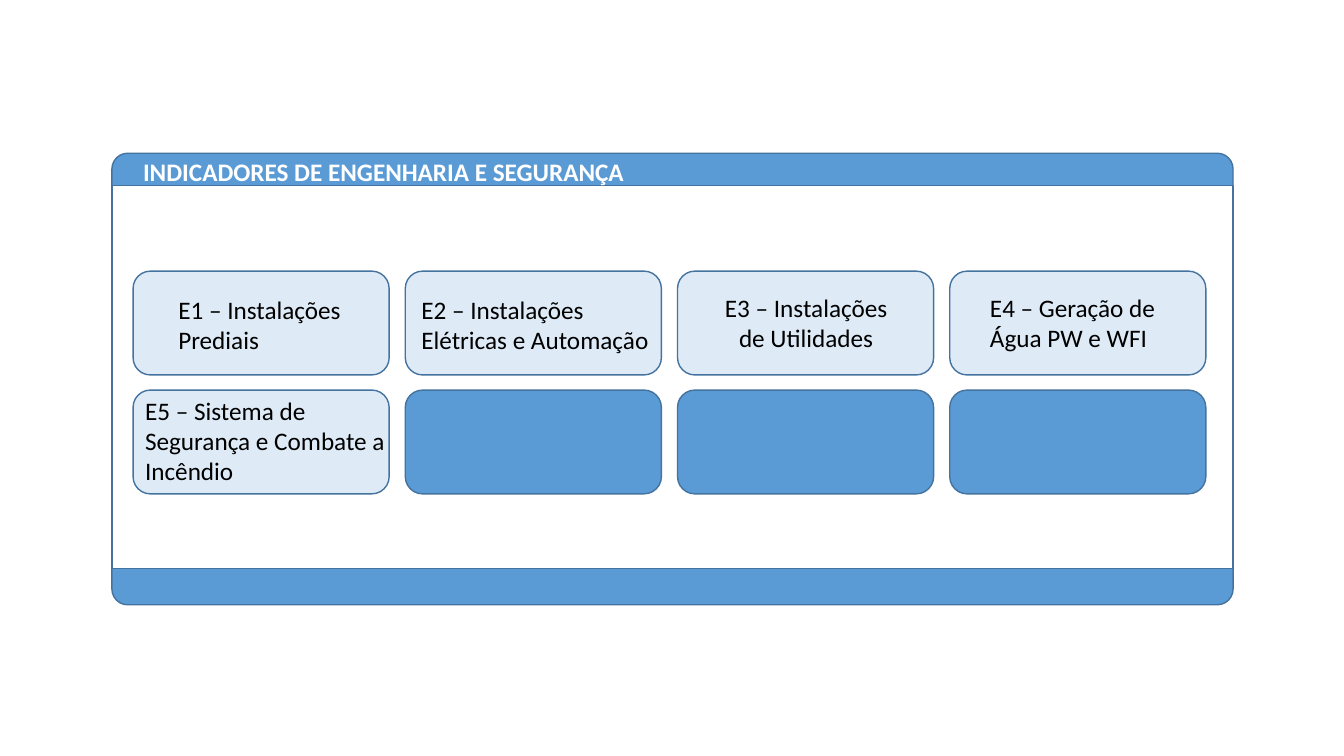
from dataclasses import dataclass

from pptx import Presentation
from pptx.dml.color import RGBColor
from pptx.enum import shapes, text
from pptx import util as u


@dataclass(frozen=True)
class Theme:
    font: str = "Calibri"
    size: int = 18
    blue: str = "5B9BD5"
    pale: str = "DEEBF7"
    outline: str = "43739E"
    white: str = "FFFFFF"
    black: str = "000000"


@dataclass(frozen=True)
class Area:
    left: float
    top: float
    width: float
    height: float

    def lengths(self) -> list[u.Length]:
        return [u.Inches(n) for n in (self.left, self.top, self.width, self.height)]


@dataclass(frozen=True)
class Label:
    words: str
    area: Area
    align: text.PP_ALIGN = text.PP_ALIGN.LEFT


THEME = Theme()
ROUNDED = shapes.MSO_SHAPE.ROUNDED_RECTANGLE

# Card grid
COLUMNS, ROWS = 4, 2
GRID_LEFT, GRID_TOP = 1.32, 2.69
COLUMN_STEP, ROW_STEP = 2.7, 1.18
CARD_WIDTH, CARD_HEIGHT = 2.54, 1.03

# One label for each filled card, in reading order
LABELS = [
    Label("E1 – Instalações Prediais", Area(1.67, 2.87, 1.86, 0.71)),
    Label("E2 – Instalações Elétricas e Automação", Area(4.08, 2.87, 2.52, 0.71)),
    Label("E3 – Instalações de Utilidades", Area(7.02, 2.85, 1.95, 0.71),
          text.PP_ALIGN.CENTER),
    Label("E4 – Geração de Água PW e WFI", Area(9.72, 2.85, 1.95, 0.71)),
    Label("E5 – Sistema de Segurança e Combate a Incêndio",
          Area(1.34, 3.87, 2.65, 1.01)),
]


def add_panel(page, kind: shapes.MSO_SHAPE, area: Area, fill: str,
              corner: float | None = None) -> None:
    panel = page.shapes.add_shape(kind, *area.lengths())
    panel.shadow.inherit = False
    panel.fill.solid()
    panel.fill.fore_color.rgb = RGBColor.from_string(fill)
    panel.line.color.rgb = RGBColor.from_string(THEME.outline)
    panel.line.width = u.Pt(1)
    if corner is not None:
        panel.adjustments[0] = corner


def add_text(page, words: str, area: Area, *, color: str = THEME.black,
             bold: bool = False, align: text.PP_ALIGN = text.PP_ALIGN.LEFT) -> None:
    box = page.shapes.add_textbox(*area.lengths())
    box.text_frame.word_wrap = True
    box.text_frame.auto_size = text.MSO_AUTO_SIZE.SHAPE_TO_FIT_TEXT
    para = box.text_frame.paragraphs[0]
    para.alignment = align
    span = para.add_run()
    span.text = words
    span.font.name = THEME.font
    span.font.size = u.Pt(THEME.size)
    span.font.bold = bold
    span.font.color.rgb = RGBColor.from_string(color)


def main() -> None:
    deck = Presentation()
    deck.slide_width, deck.slide_height = u.Inches(13.33), u.Inches(7.5)
    page = deck.slides.add_slide(deck.slide_layouts[6])

    # Frame with header and footer bands
    add_panel(page, ROUNDED, Area(1.11, 1.52, 11.12, 4.48), THEME.blue, corner=0.035)
    add_panel(page, shapes.MSO_SHAPE.RECTANGLE, Area(1.11, 1.84, 11.12, 3.8),
              THEME.white)

    # Cards: pale where there is an indicator, blue where empty
    for index in range(COLUMNS * ROWS):
        row, column = divmod(index, COLUMNS)
        area = Area(GRID_LEFT + column * COLUMN_STEP, GRID_TOP + row * ROW_STEP,
                    CARD_WIDTH, CARD_HEIGHT)
        add_panel(page, ROUNDED, area,
                  THEME.pale if index < len(LABELS) else THEME.blue)

    # Title and indicator names
    add_text(page, "INDICADORES DE ENGENHARIA E SEGURANÇA",
             Area(1.32, 1.5, 8.98, 0.4), color=THEME.white, bold=True)
    for label in LABELS:
        add_text(page, label.words, label.area, align=label.align)

    deck.save("out.pptx")


if __name__ == "__main__":
    main()
